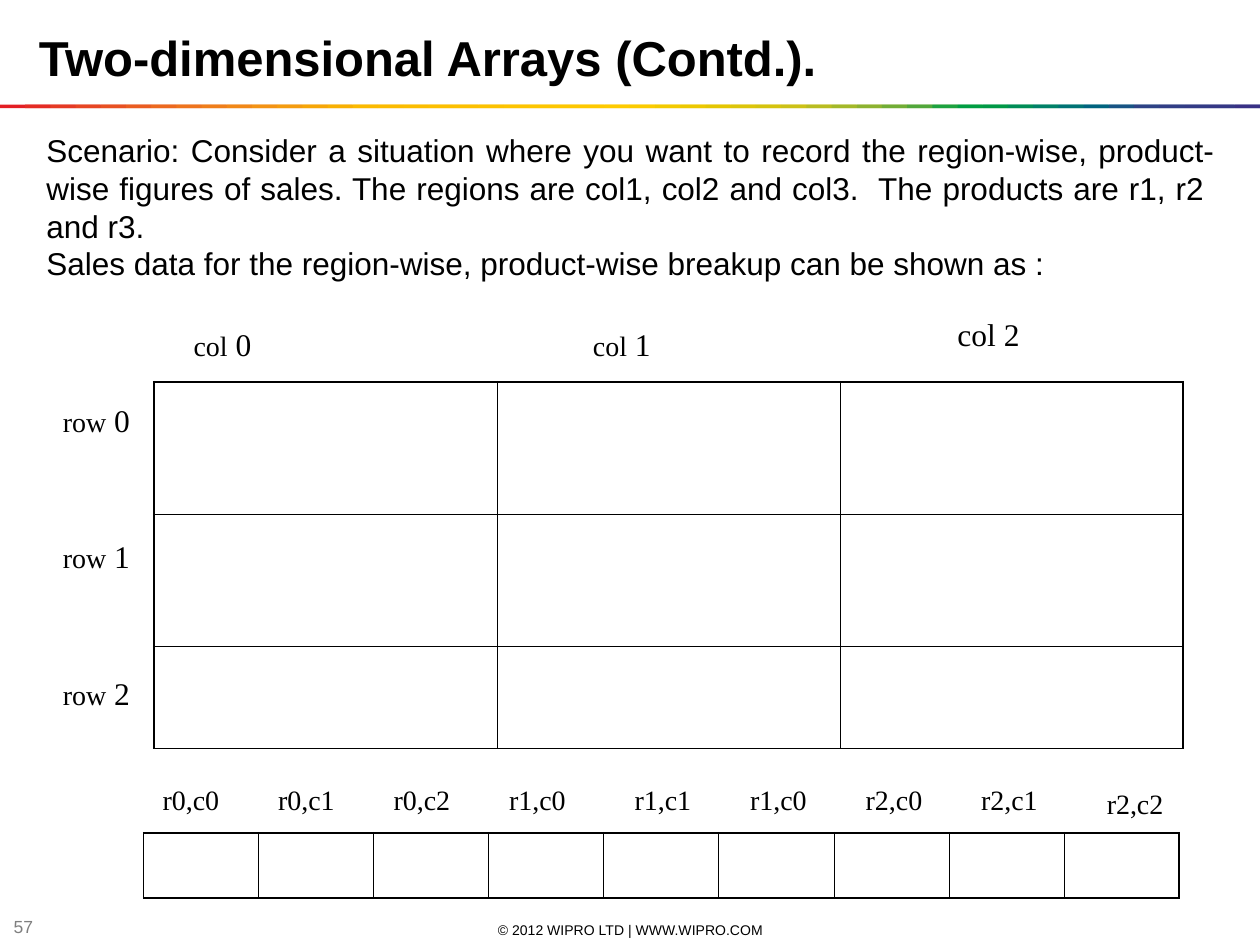
from lxml import etree
from pptx import Presentation
from pptx.dml.color import RGBColor
from pptx.enum import shapes, text
from pptx.oxml import ns
from pptx.util import Inches, Pt

BLACK = RGBColor(0, 0, 0)
GREY = RGBColor(0x7F, 0x7F, 0x7F)
RAINBOW = [RGBColor.from_string(code) for code in """
    E31E24 E42C24 E53A24 E74623 E85122 EA5D21 EC691F EE741D EF7E1A F18817
    F39314 F49C0F F6A607 F8B002 FBBA00 FBBB00 FBBD00 FCBF00 FCC000 FCC200
    FDC400 FDC600 FDC700 FEC900 FECB00 FBCB00 F3CA00 ECC800 E4C602 DCC50A
    D5C30E CCC117 B8BC21 A3B829 8CB230 71AD36 51A73B 1DA240 009D43 009846
    008C57 008068 007275 00637F 185384 2E4285 313E85 333B85 353885 393185
""".split()]
SANS, SERIF = "Arial", "Times New Roman"
OUTER, INNER = Pt(1.08), Pt(0.45)
LEFT, CENTER, JUSTIFY = (text.PP_ALIGN.LEFT, text.PP_ALIGN.CENTER,
                         text.PP_ALIGN.JUSTIFY)
TOP, MIDDLE = text.MSO_ANCHOR.TOP, text.MSO_ANCHOR.MIDDLE


def add_text(page, area, paragraphs, size, font=SANS, color=BLACK, align=LEFT,
             anchor=TOP, bold=False, wrap=True):
    """Each paragraph is a list of (words, size) spans or a plain string."""
    box = page.shapes.add_textbox(*map(Inches, area))
    frame = box.text_frame
    frame.word_wrap = wrap
    frame.vertical_anchor = anchor
    for index, spans in enumerate(paragraphs):
        para = frame.paragraphs[0] if index == 0 else frame.add_paragraph()
        para.alignment = align
        para.font.name, para.font.size = font, Pt(size)
        para.font.bold, para.font.color.rgb = bold, color
        if isinstance(spans, str):
            spans = [(spans, None)]
        for words, span_size in spans:
            span = para.add_run()
            span.text = words
            if span_size:
                span.font.size = Pt(span_size)


def add_rainbow_rule(page, left, top, width, height):
    group = page.shapes.add_group_shape()
    step = width / len(RAINBOW)
    for index, color in enumerate(RAINBOW):
        offset = index * step
        # Strips overlap their right neighbour so that no seams show
        strip = group.shapes.add_shape(
            shapes.MSO_SHAPE.RECTANGLE, Inches(left + offset), Inches(top),
            Inches(min(2 * step, width - offset)), Inches(height))
        strip.shadow.inherit = False
        strip.fill.solid()
        strip.fill.fore_color.rgb = color
        strip.line.fill.background()


def set_borders(cell, **widths):
    properties = cell._tc.get_or_add_tcPr()
    for side, width in widths.items():
        line = etree.SubElement(properties, ns.qn(f"a:ln{side}"), w=str(width))
        fill = etree.SubElement(line, ns.qn("a:solidFill"))
        etree.SubElement(fill, ns.qn("a:srgbClr"), val=str(BLACK))


def add_grid(page, left, top, width, row_heights, columns):
    """Empty table with a heavy outer frame and thin inner lines."""
    rows = len(row_heights)
    table = page.shapes.add_table(
        rows, columns, Inches(left), Inches(top), Inches(width),
        Inches(sum(row_heights))).table
    table.first_row = table.horz_banding = False
    for row, height in zip(table.rows, row_heights):
        row.height = Inches(height)
    for r in range(rows):
        for c in range(columns):
            cell = table.cell(r, c)
            set_borders(cell,
                        L=OUTER if c == 0 else INNER,
                        R=OUTER if c == columns - 1 else INNER,
                        T=OUTER if r == 0 else INNER,
                        B=OUTER if r == rows - 1 else INNER)
            cell.fill.background()


def add_label(page, left, top, spans, size=16):
    add_text(page, (left, top, 0.75, 0.4), [spans], size, SERIF,
             align=CENTER, wrap=False)


def add_sales_table(page, left, top, width):
    add_grid(page, left, top, width, [1.05, 1.05, 0.81], 3)
    for index in range(3):
        add_label(page, left - 0.83, top + 0.1 + 1.085 * index,
                  [("row", 16), (f" {index}", 18)])
    column_labels = [(0.17, -0.5, 16), (3.34, -0.5, 16), (6.25, -0.58, 18)]
    for index, (dx, dy, size) in enumerate(column_labels):
        add_label(page, left + dx, top + dy,
                  [("col", size), (f" {index}", 18)])


def add_memory_row(page, left, top, width):
    names = ["r0,c0", "r0,c1", "r0,c2", "r1,c0", "r1,c1", "r1,c0",
             "r2,c0", "r2,c1", "r2,c2"]
    add_grid(page, left, top, width, [0.52], len(names))
    for index, name in enumerate(names):
        dy = -0.42 if name == "r2,c2" else -0.45
        # Every fourth gap is slightly wider
        add_label(page, left + index * 11 / 12 + 0.08 * (index // 4),
                  top + dy, name)


def add_footer(page, left, top):
    add_text(page, (left + 3.41, top + 0.03, 3.17, 0.16),
             ["© 2012 WIPRO LTD | WWW.WIPRO.COM"], 8,
             align=CENTER, anchor=MIDDLE)
    add_text(page, (left, top, 0.39, 0.16), ["57"], 10, color=GREY,
             anchor=MIDDLE)


def main():
    deck = Presentation()
    deck.slide_width, deck.slide_height = Inches(10), Inches(7.5)
    page = deck.slides.add_slide(deck.slide_layouts[6])
    add_footer(page, 0.01, 7.27)
    add_rainbow_rule(page, 0, 0.83, 10, 0.03)
    add_text(page, (0.21, 0.17, 9.29, 0.57),
             ["Two-dimensional Arrays (Contd.)."], 28, bold=True)
    add_sales_table(page, 1.22, 3.03, 8.17)
    add_memory_row(page, 1.14, 6.61, 8.22)
    add_text(page, (0.27, 0.99, 9.47, 1.3), [
        "Scenario: Consider a situation where you want to record the "
        "region-wise, product-wise figures of sales. The regions are col1, "
        "col2 and col3.  The products are r1, r2  and r3.",
        "Sales data for the region-wise, product-wise breakup can be shown "
        "as :",
    ], 18, align=JUSTIFY, anchor=MIDDLE)
    deck.save("out.pptx")


if __name__ == "__main__":
    main()
